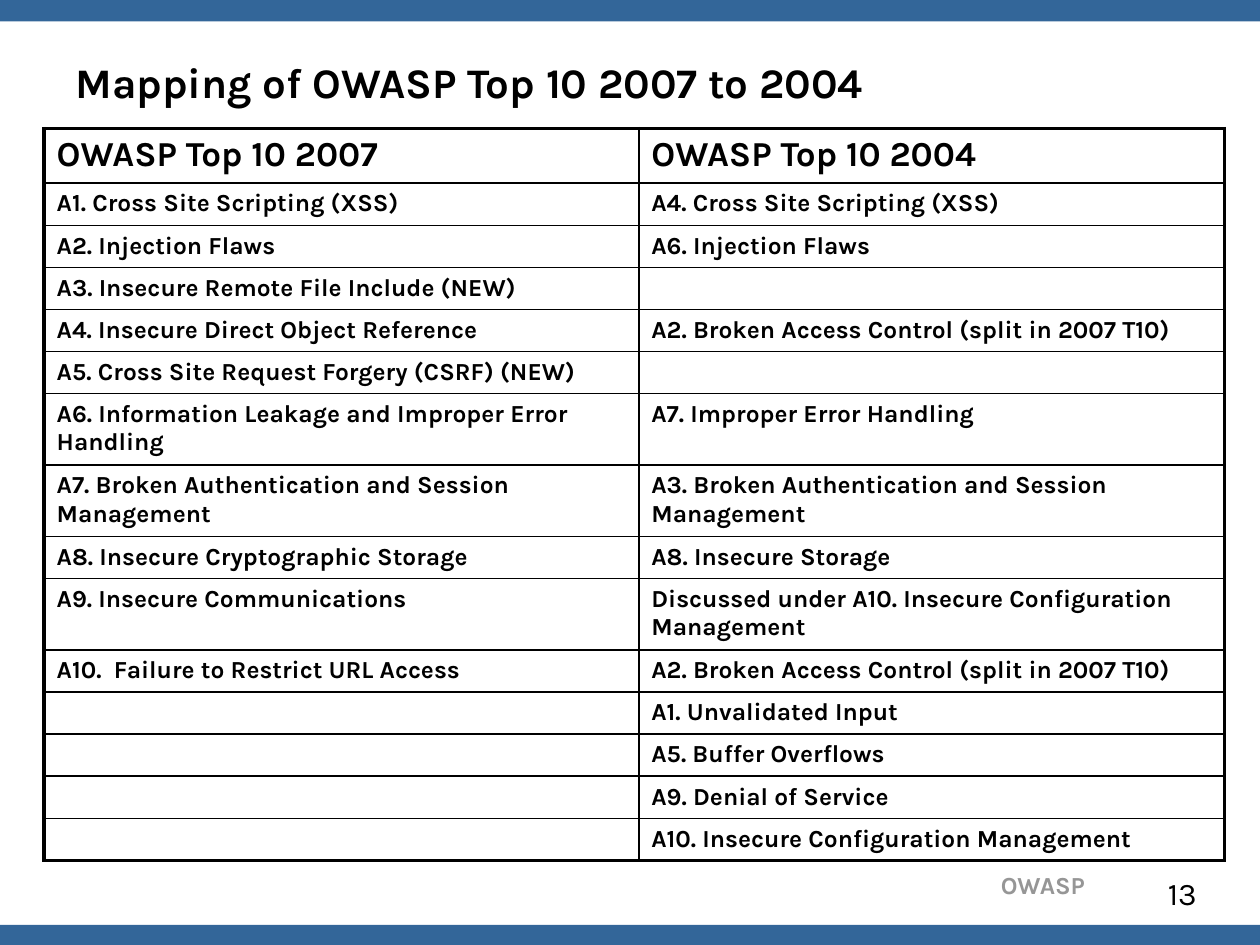
from dataclasses import dataclass

from lxml.etree import SubElement
from pptx import Presentation
from pptx.dml.color import RGBColor
from pptx.enum.shapes import MSO_SHAPE
from pptx.enum.text import MSO_ANCHOR, PP_ALIGN
from pptx.oxml.ns import qn
from pptx.util import Inches, Pt

FONT = "Karla"
COLORS = {"bar": "336699", "ink": "000000", "mute": "969696"}
THIN, THICK = 1, 2.25


@dataclass
class Label:
    text: str
    left: float
    top: float
    width: float
    height: float
    size: int
    color: str = "ink"
    bold: bool = True
    align: PP_ALIGN = PP_ALIGN.LEFT
    anchor: MSO_ANCHOR = MSO_ANCHOR.TOP


@dataclass
class Row:
    new: str
    old: str
    height: float = 0.32
    size: int = 14


BARS = [0, 7.34]
LABELS = [
    Label("OWASP", 6.1, 6.86, 2.61, 0.33, 14, "mute", align=PP_ALIGN.RIGHT),
    Label("13", 9.17, 6.89, 0.44, 0.25, 18, bold=False),
    Label("Mapping of OWASP Top 10 2007 to 2004", 0.5, 0.21, 9, 0.87, 24,
          anchor=MSO_ANCHOR.MIDDLE),
]
ROWS = [
    Row("OWASP Top 10 2007", "OWASP Top 10 2004", 0.43, 20),
    Row("A1. Cross Site Scripting (XSS)", "A4. Cross Site Scripting (XSS)"),
    Row("A2. Injection Flaws", "A6. Injection Flaws"),
    Row("A3. Insecure Remote File Include (NEW)", ""),
    Row("A4. Insecure Direct Object Reference",
        "A2. Broken Access Control (split in 2007 T10)"),
    Row("A5. Cross Site Request Forgery (CSRF) (NEW)", ""),
    Row("A6. Information Leakage and Improper Error Handling",
        "A7. Improper Error Handling", 0.55),
    Row("A7. Broken Authentication and Session Management",
        "A3. Broken Authentication and Session Management", 0.55),
    Row("A8. Insecure Cryptographic Storage", "A8. Insecure Storage"),
    Row("A9. Insecure Communications",
        "Discussed under A10. Insecure Configuration Management", 0.55),
    Row("A10.  Failure to Restrict URL Access",
        "A2. Broken Access Control (split in 2007 T10)"),
    Row("", "A1. Unvalidated Input"),
    Row("", "A5. Buffer Overflows"),
    Row("", "A9. Denial of Service"),
    Row("", "A10. Insecure Configuration Management"),
]
COLS = [4.72, 4.65]


def style(par, size: int, color: str = "ink", bold: bool = True) -> None:
    font = par.font
    font.name, font.size, font.bold = FONT, Pt(size), bold
    font.color.rgb = RGBColor.from_string(COLORS[color])


def add_bar(slide, top: float) -> None:
    bar = slide.shapes.add_shape(MSO_SHAPE.RECTANGLE, 0, Inches(top),
                                 Inches(10), Inches(0.17))
    bar.shadow.inherit = False
    bar.fill.solid()
    bar.fill.fore_color.rgb = RGBColor.from_string(COLORS["bar"])
    bar.line.fill.background()


def add_label(slide, item: Label) -> None:
    box = slide.shapes.add_textbox(Inches(item.left), Inches(item.top),
                                   Inches(item.width), Inches(item.height))
    frame = box.text_frame
    frame.word_wrap = True
    frame.vertical_anchor = item.anchor
    par = frame.paragraphs[0]
    par.text, par.alignment = item.text, item.align
    style(par, item.size, item.color, item.bold)


def set_edge(cell, side: str, width: float) -> None:
    props = cell._tc.get_or_add_tcPr()
    line = SubElement(props, qn(f"a:{side}"), w=str(Pt(width)))
    fill = SubElement(line, qn("a:solidFill"))
    SubElement(fill, qn("a:srgbClr"), val=COLORS["ink"])


def fill_cell(cell, text: str, size: int, edges: dict[str, bool]) -> None:
    par = cell.text_frame.paragraphs[0]
    par.text = text
    style(par, size)
    if not text:  # keeps an empty row as low as the others
        SubElement(par._p, qn("a:endParaRPr"), sz=str(size * 100))
    for side, outer in edges.items():
        set_edge(cell, side, THICK if outer else THIN)
    cell.fill.background()


def add_grid(slide, rows: list[Row]) -> None:
    height = sum(row.height for row in rows)
    frame = slide.shapes.add_table(len(rows), len(COLS), Inches(0.35), Inches(1.02),
                                   Inches(sum(COLS)), Inches(height))
    table = frame.table
    table.first_row = table.horz_banding = False
    for col, width in zip(table.columns, COLS):
        col.width = Inches(width)
    for r, row in enumerate(rows):
        table.rows[r].height = Inches(row.height)
        for c, text in enumerate((row.new, row.old)):
            edges = {"lnL": c == 0, "lnR": c == len(COLS) - 1,
                     "lnT": r == 0, "lnB": r == len(rows) - 1}
            fill_cell(table.cell(r, c), text, row.size, edges)


def main() -> None:
    deck = Presentation()
    deck.slide_width, deck.slide_height = Inches(10), Inches(7.5)
    slide = deck.slides.add_slide(deck.slide_layouts[6])
    # Bars along the top and bottom
    for top in BARS:
        add_bar(slide, top)
    # Footer, page number and title
    for item in LABELS:
        add_label(slide, item)
    # Mapping table
    add_grid(slide, ROWS)
    deck.save("out.pptx")


if __name__ == "__main__":
    main()
